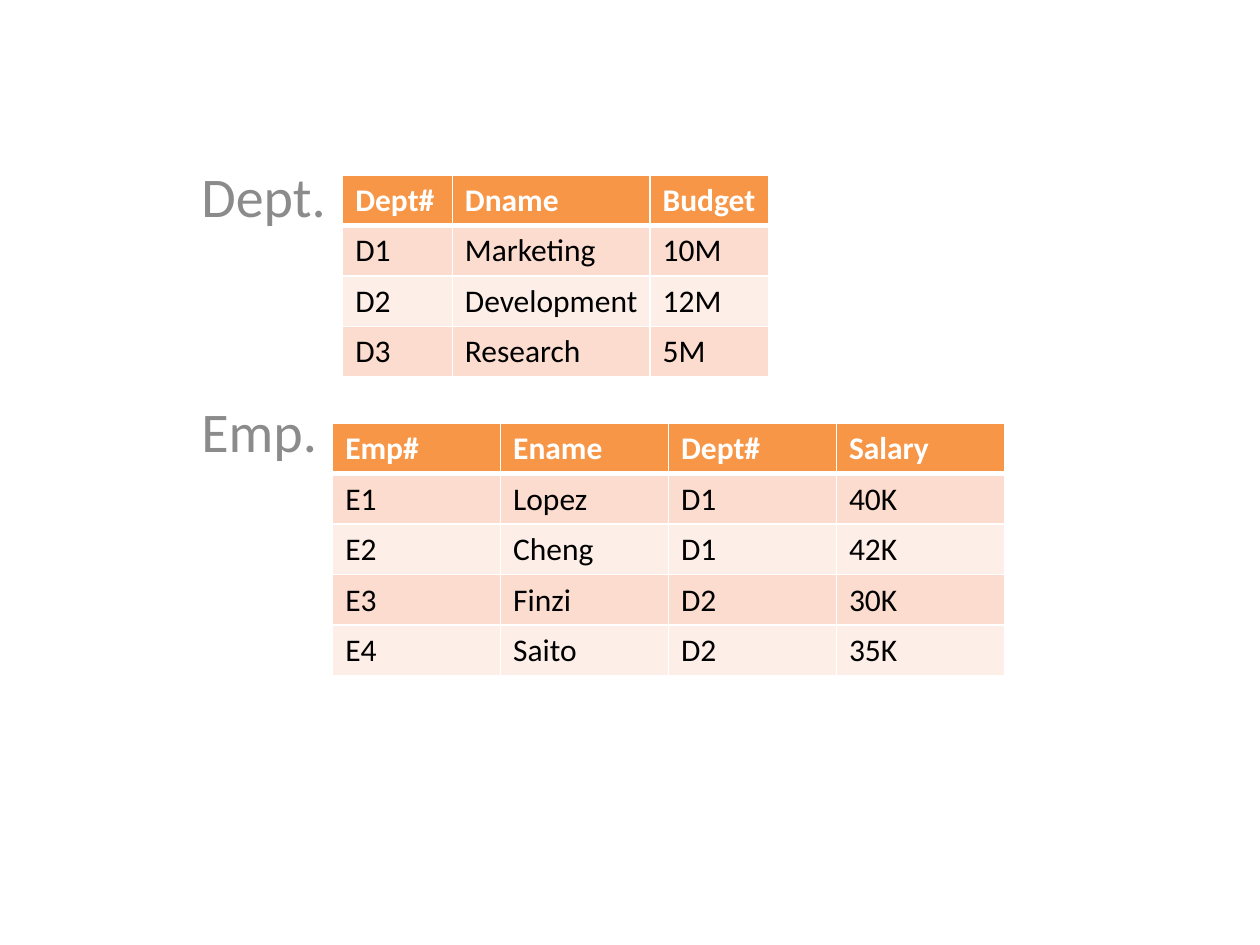
from dataclasses import dataclass

from lxml.etree import SubElement
from pptx import Presentation
from pptx.dml.color import RGBColor as Color
from pptx.oxml.ns import qn
from pptx.slide import Slide
from pptx.util import Inches, Pt

WHITE = RGB_WHITE = Color(0xFF, 0xFF, 0xFF)
BLACK = Color(0x00, 0x00, 0x00)
GRAY = Color(0x8B, 0x8B, 0x8B)
ORANGE = Color(0xF7, 0x96, 0x46)
BANDS = Color(0xFD, 0xEE, 0xE8), Color(0xFB, 0xDC, 0xCF)

DEPARTMENTS = [
    ["Dept#", "Dname", "Budget"],
    ["D1", "Marketing", "10M"],
    ["D2", "Development", "12M"],
    ["D3", "Research", "5M"],
]
EMPLOYEES = [
    ["Emp#", "Ename", "Dept#", "Salary"],
    ["E1", "Lopez", "D1", "40K"],
    ["E2", "Cheng", "D1", "42K"],
    ["E3", "Finzi", "D2", "30K"],
    ["E4", "Saito", "D2", "35K"],
]


@dataclass
class Painter:
    """Draw styled elements on a page, measured in grid units of a tenth of an inch."""

    page: Slide
    font: str = "Calibri"
    unit: int = Inches(0.1)
    row_height: float = 4
    thin: float = 0.96
    thick: float = 3

    def grid(self, *lengths):
        return [round(length * self.unit) for length in lengths]

    def style(self, para, size, color, bold=False):
        para.font.name = self.font
        para.font.size = Pt(size)
        para.font.bold = bold
        para.font.color.rgb = color

    def labels(self, place, texts, gap):
        frame = self.page.shapes.add_textbox(*self.grid(*place)).text_frame
        frame.word_wrap = True
        frame.text = "\n".join(texts)
        for index, para in enumerate(frame.paragraphs):
            para.space_before = Pt(gap if index else 0)
            self.style(para, 32, GRAY)

    def borders(self, cell, top, bottom):
        properties = cell._tc.get_or_add_tcPr()
        widths = {"L": self.thin, "R": self.thin, "T": top, "B": bottom}
        for side, width in widths.items():
            line = SubElement(properties, qn(f"a:ln{side}"), w=str(Pt(width)))
            fill = SubElement(line, qn("a:solidFill"))
            SubElement(fill, qn("a:srgbClr"), val=str(WHITE))

    def table(self, left, top, widths, rows):
        place = self.grid(left, top, sum(widths), self.row_height * len(rows))
        table = self.page.shapes.add_table(len(rows), len(widths), *place).table
        for column, width in zip(table.columns, self.grid(*widths)):
            column.width = width
        for index, values in enumerate(rows):
            header = index == 0
            above = self.thick if index == 1 else self.thin
            below = self.thick if header else self.thin
            for cell, value in zip(table.rows[index].cells, values):
                cell.text = value
                color = WHITE if header else BLACK
                self.style(cell.text_frame.paragraphs[0], 18, color, header)
                self.borders(cell, above, below)
                cell.fill.solid()
                cell.fill.fore_color.rgb = ORANGE if header else BANDS[index % 2]


def main():
    deck = Presentation()
    deck.slide_width, deck.slide_height = Inches(10), Inches(7.5)
    painter = Painter(deck.slides.add_slide(deck.slide_layouts[6]))
    painter.labels((15, 12.3, 70, 53.5), ["Dept.", "Emp."], gap=96)
    painter.table(27.2, 13.9, [8.7, 15.7, 9.4], DEPARTMENTS)
    painter.table(26.4, 33.6, [13.33] * 4, EMPLOYEES)
    deck.save("out.pptx")


if __name__ == "__main__":
    main()
